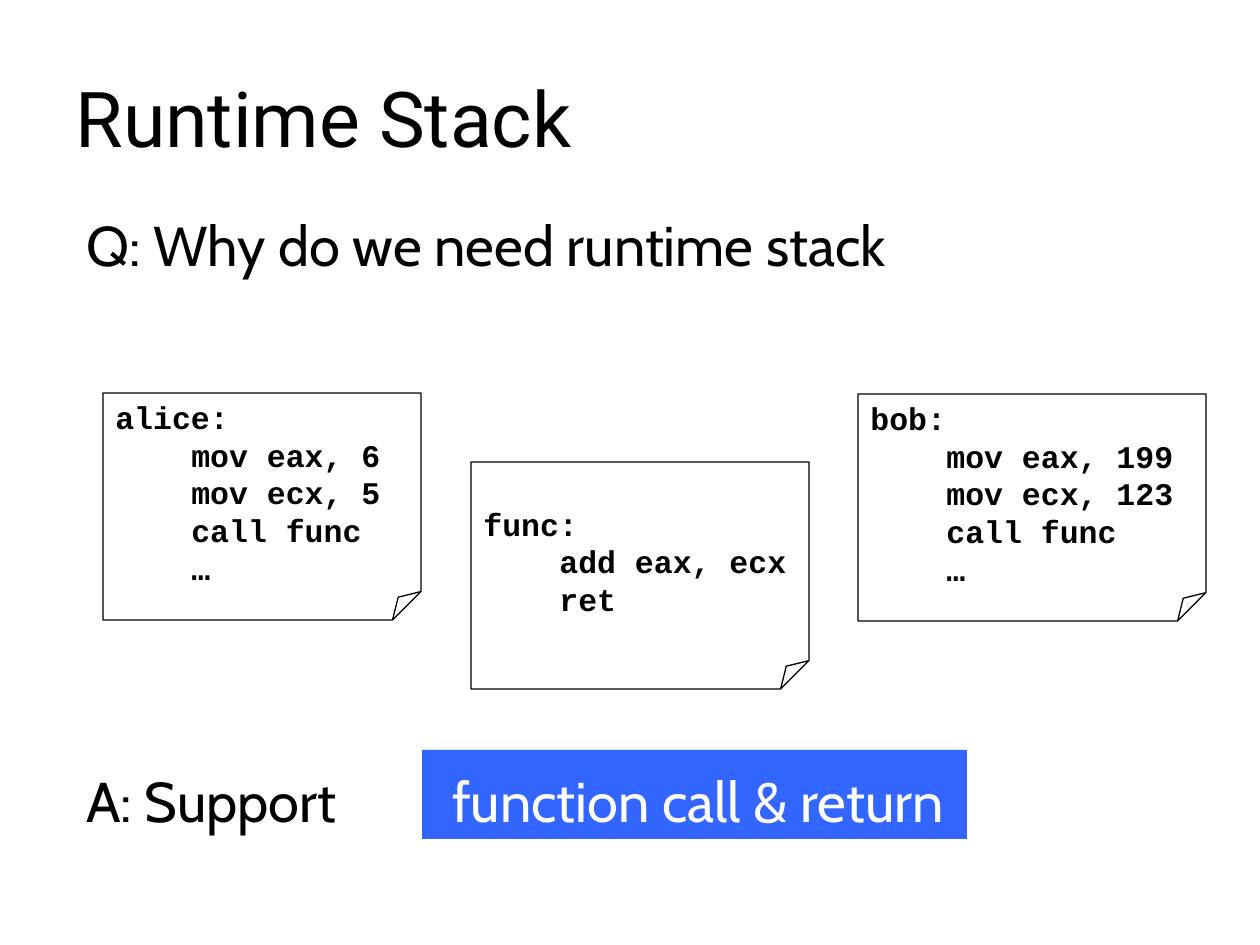
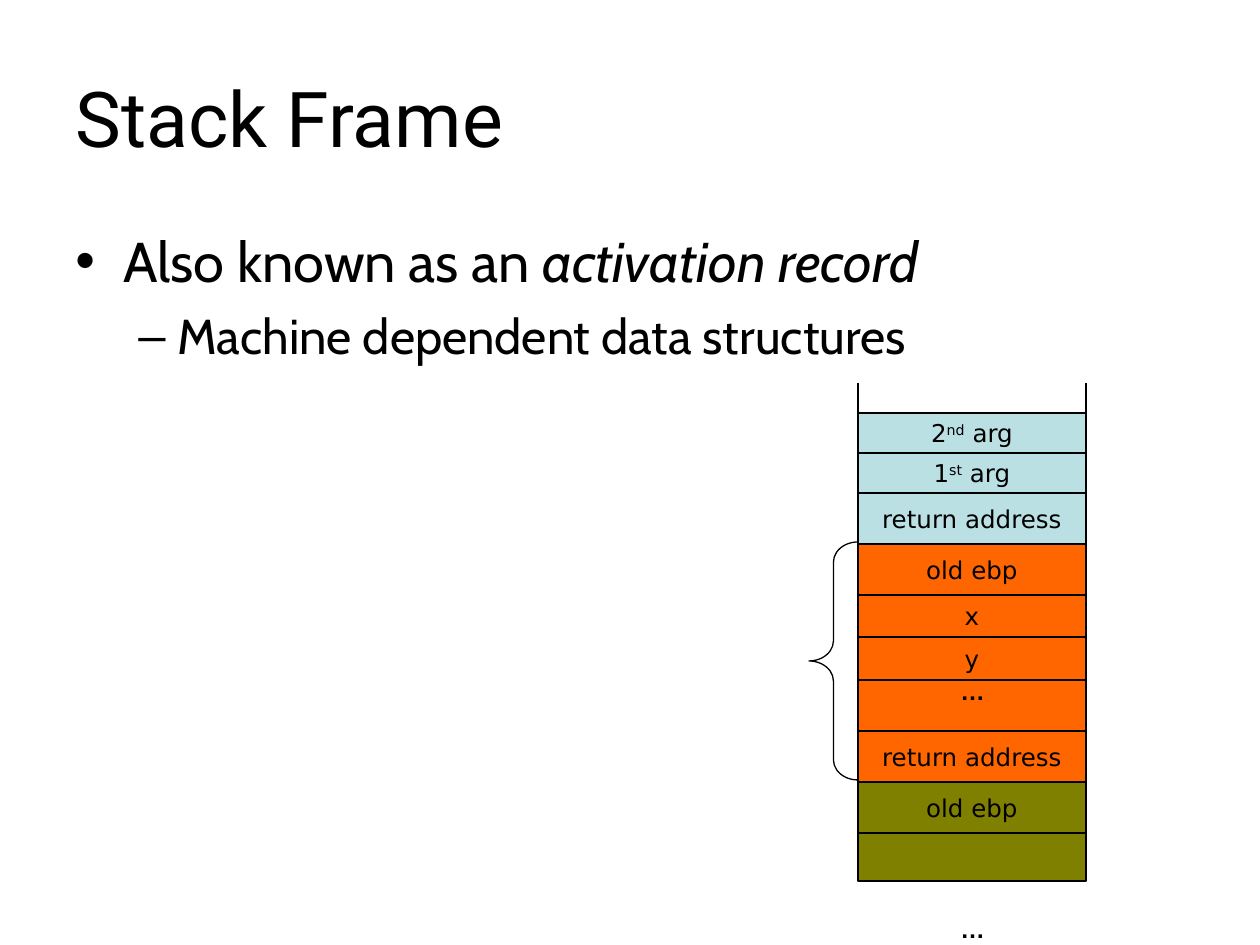
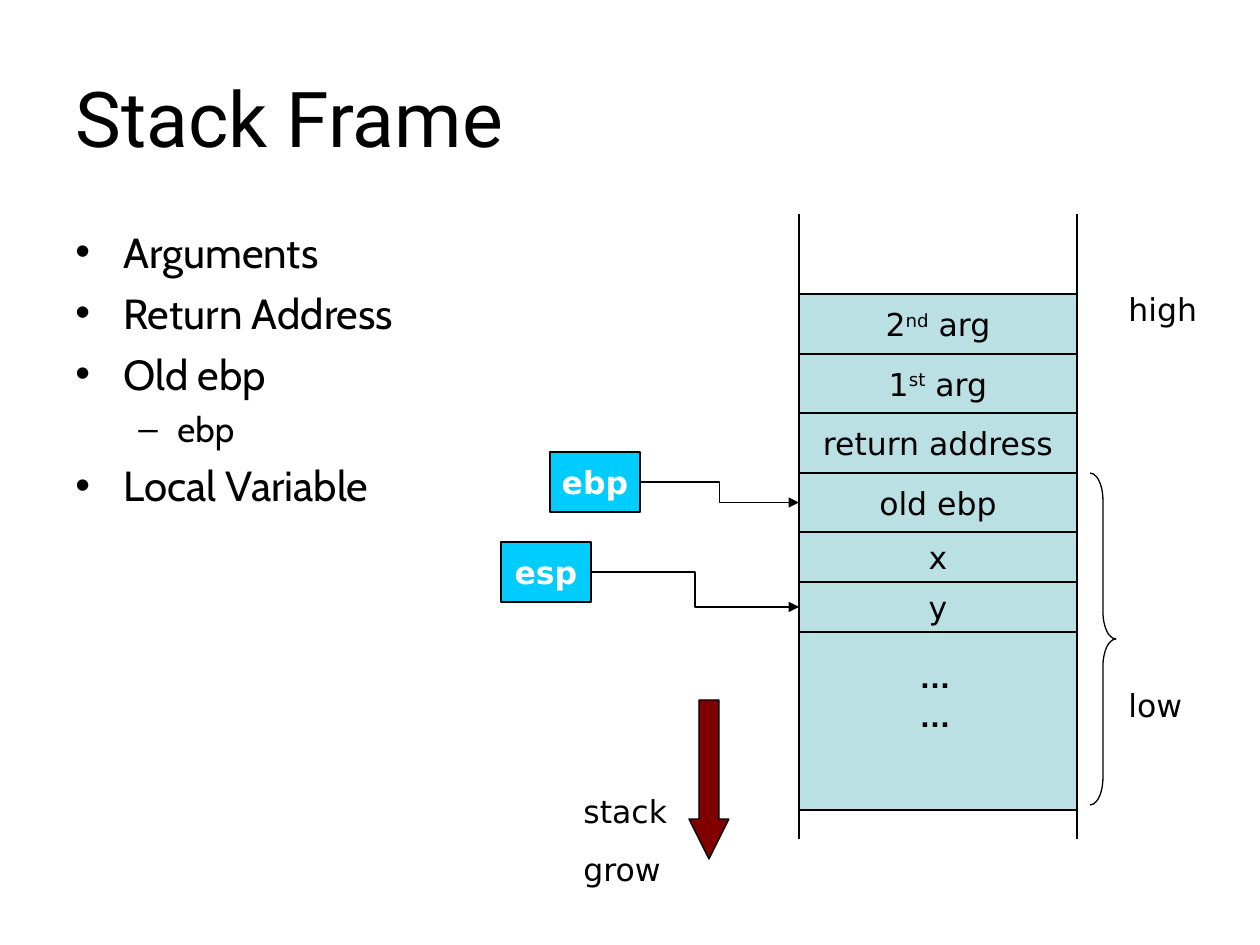
from lxml.etree import SubElement
from pptx import Presentation
from pptx.dml.color import RGBColor
from pptx.enum.shapes import MSO_CONNECTOR, MSO_SHAPE
from pptx.enum.text import MSO_ANCHOR, MSO_AUTO_SIZE, PP_ALIGN
from pptx.oxml.ns import qn
from pptx.util import Emu, Pt

PX = 914400 / 126
BLACK, WHITE = "000000", "FFFFFF"
PALE, ORANGE, OLIVE = "BBE0E3", "FF6600", "808000"
BLUE, CYAN, MAROON = "3366FF", "00CCFF", "800000"
TITLE_FONT, BODY_FONT, CODE_FONT = "Roboto", "Cabin", "Courier New"
CELL_FONT, DOTS_FONT = "DejaVu Sans", "Arial"

CODE_INDENT = 76
BULLETS = [("•", 48, 48), ("–", 102, 39)]  # character, margin, hanging
LEFT_SITE, RIGHT_SITE = 1, 3
RAISED = {"baseline": 30000}
SECOND_ARG = ["2", ("nd", RAISED), " arg"]
FIRST_ARG = ["1", ("st", RAISED), " arg"]


def px(length):
    return Emu(round(length * PX))


def rgb(color):
    return RGBColor.from_string(color)


def add_paragraph_xml(paragraph, tag, **attributes):
    return SubElement(paragraph._p.get_or_add_pPr(), qn(tag), attributes)


def add_run(paragraph, text, font, size, color=BLACK, bold=False, italic=False, baseline=0):
    run = paragraph.add_run()
    run.text = text
    run.font.name = font
    run.font.size = Pt(size)
    run.font.bold = bold
    run.font.italic = italic
    run.font.color.rgb = rgb(color)
    if baseline:
        run._r.get_or_add_rPr().set("baseline", str(baseline))


def write_text(shape, paragraphs, align=PP_ALIGN.LEFT, anchor=MSO_ANCHOR.TOP,
               wrap=True, before=0, **run_format):
    """Fill a shape; a paragraph is a string or a list of strings and (text, format) pairs."""
    frame = shape.text_frame
    frame.word_wrap = wrap
    frame.auto_size = MSO_AUTO_SIZE.NONE
    frame.vertical_anchor = anchor
    for index, runs in enumerate(paragraphs):
        paragraph = frame.add_paragraph() if index else frame.paragraphs[0]
        paragraph.alignment = align
        paragraph.space_before = Pt(before)
        for run in [runs] if isinstance(runs, str) else runs:
            text, changes = (run, {}) if isinstance(run, str) else run
            add_run(paragraph, text, **{**run_format, **changes})
    return frame.paragraphs


def add_text(slide, box, paragraphs, **text_format):
    shape = slide.shapes.add_textbox(*map(px, box))
    return write_text(shape, paragraphs, **text_format)


def add_label(slide, box, *lines, size=18, font=CELL_FONT, bold=False):
    add_text(slide, box, lines, font=font, size=size, bold=bold, before=round(size * 0.625, 1))


def set_adjustments(shape, **fractions):
    """Write the guides directly, as python-pptx knows none for a folded corner."""
    guides = shape._element.spPr.find(qn("a:prstGeom")).find(qn("a:avLst"))
    guides.clear()
    for name, fraction in fractions.items():
        SubElement(guides, qn("a:gd"), {"name": name, "fmla": f"val {round(fraction * 100000)}"})


def add_preset(slide, kind, box, fill=None, line=BLACK, **adjustments):
    shape = slide.shapes.add_shape(kind, *map(px, box))
    shape.shadow.inherit = False
    if fill:
        shape.fill.solid()
        shape.fill.fore_color.rgb = rgb(fill)
    else:
        shape.fill.background()
    if line:
        shape.line.color.rgb = rgb(line)
        shape.line.width = Pt(0.75)
    else:
        shape.line.fill.background()
    if adjustments:
        set_adjustments(shape, **adjustments)
    return shape


def add_cell(slide, box, text, fill, size, **text_format):
    cell = add_preset(slide, MSO_SHAPE.RECTANGLE, box, fill)
    if text:
        write_text(cell, [text], align=PP_ALIGN.CENTER, anchor=MSO_ANCHOR.MIDDLE,
                   wrap=False, font=CELL_FONT, size=size, **text_format)
    return cell


def add_line(slide, kind=MSO_CONNECTOR.STRAIGHT, start=(0, 0), end=(0, 0)):
    connector = slide.shapes.add_connector(kind, *map(px, (*start, *end)))
    connector.line.color.rgb = rgb(BLACK)
    connector.line.width = Pt(0.75)
    SubElement(connector._element.spPr, qn("a:effectLst"))
    return connector


def add_pointer(slide, register, cell):
    connector = add_line(slide, MSO_CONNECTOR.ELBOW)
    connector.begin_connect(register, RIGHT_SITE)
    connector.end_connect(cell, LEFT_SITE)
    outline = connector._element.spPr.find(qn("a:ln"))
    SubElement(outline, qn("a:tailEnd"), {"type": "triangle"})


def add_stack(slide, left, top, width, rows, rail_top, rail_bottom, size):
    """Draw the rails and, between them, rows of (height, text, fill); return the cells."""
    for x in (left, left + width):
        add_line(slide, start=(x, rail_top), end=(x, rail_bottom))
    cells = []
    for height, text, fill in rows:
        cells.append(add_cell(slide, (left, top, width, height), text, fill, size))
        top += height
    return cells


def add_code_note(slide, box, label, *instructions):
    note = add_preset(slide, MSO_SHAPE.FOLDED_CORNER, box, adj=0.125)
    paragraphs = write_text(note, [label, *instructions], anchor=MSO_ANCHOR.MIDDLE,
                            font=CODE_FONT, size=18, bold=True)
    for paragraph in paragraphs[1:]:
        paragraph._p.get_or_add_pPr().set("marL", str(px(CODE_INDENT)))


def add_bullets(slide, box, items, sizes, gaps):
    """List (level, runs) items, with a text size and a gap for each level."""
    paragraphs = add_text(slide, box, [runs for _, runs in items], font=BODY_FONT, size=sizes[0])
    for paragraph, (level, _) in zip(paragraphs, items):
        character, margin, hanging = BULLETS[level]
        paragraph.level = level
        paragraph.space_before = Pt(gaps[level])
        for run in paragraph.runs:
            run.font.size = Pt(sizes[level])
        properties = paragraph._p.get_or_add_pPr()
        properties.set("marL", str(px(margin)))
        properties.set("indent", str(px(-hanging)))
        color = add_paragraph_xml(paragraph, "a:buClr")
        SubElement(color, qn("a:srgbClr"), {"val": BLACK})
        add_paragraph_xml(paragraph, "a:buFont", typeface="Arial")
        add_paragraph_xml(paragraph, "a:buChar", char=character)


def add_titled_slide(presentation, title):
    slide = presentation.slides.add_slide(presentation.slide_layouts[5])
    placeholder = slide.shapes.title
    placeholder.left, placeholder.top, placeholder.width, placeholder.height = map(
        px, (63, 38, 1134, 157))
    write_text(placeholder, [title], anchor=MSO_ANCHOR.MIDDLE, font=TITLE_FONT, size=44)
    return slide


def build_runtime_stack(presentation):
    slide = add_titled_slide(presentation, "Runtime Stack")
    add_preset(slide, MSO_SHAPE.RECTANGLE, (422, 750, 545, 89), BLUE, line=None)
    body = {"font": BODY_FONT, "size": 32, "before": 8}
    answer = ["A: Support\t", ("function call & return", {"color": WHITE})]
    paragraph, = add_text(slide, (74, 760, 1134, 110), [answer], **body)
    tabs = add_paragraph_xml(paragraph, "a:tabLst")
    SubElement(tabs, qn("a:tab"), {"pos": str(px(366)), "algn": "l"})
    add_text(slide, (74, 204, 1008, 141), ["Q: Why do we need runtime stack"], **body)

    add_code_note(slide, (471, 462, 338, 227), "func:", "add eax, ecx", "ret")
    callers = [(103, 393, 318, "alice:", 6, 5), (858, 394, 348, "bob:", 199, 123)]
    for left, top, width, label, eax, ecx in callers:
        add_code_note(slide, (left, top, width, 227), label,
                      f"mov eax, {eax}", f"mov ecx, {ecx}", "call func", "…")


def build_activation_record(presentation):
    slide = add_titled_slide(presentation, "Stack Frame")
    items = [(0, ["Also known as an ", ("activation record", {"italic": True})]),
             (1, "Machine dependent data structures")]
    add_bullets(slide, (63, 220, 1134, 624), items, sizes=(32, 28), gaps=(8, 7))
    rows = [(40, SECOND_ARG, PALE), (40, FIRST_ARG, PALE), (51, "return address", PALE),
            (51, "old ebp", ORANGE), (42, "x", ORANGE), (43, "y", ORANGE),
            (51, None, ORANGE), (51, "return address", ORANGE),
            (51, "old ebp", OLIVE), (48, None, OLIVE)]
    add_stack(slide, 858, 413, 228, rows, rail_top=383, rail_bottom=880, size=14)
    add_preset(slide, MSO_SHAPE.LEFT_BRACE, (809, 542, 49, 238), adj1=0.41, adj2=0.5)
    for top in (670, 908):
        add_label(slide, (948, top, 49, 43), "…", size=14, font=DOTS_FONT, bold=True)


def build_frame_layout(presentation):
    slide = add_titled_slide(presentation, "Stack Frame")
    items = [(0, "Arguments"), (0, "Return Address"), (0, "Old ebp"), (1, "ebp"),
             (0, "Local Variable")]
    add_bullets(slide, (63, 220, 449, 624), items, sizes=(24, 20), gaps=(6, 5))
    rows = [(height, text, PALE) for height, text in [
        (60, SECOND_ARG), (59, FIRST_ARG), (60, "return address"), (59, "old ebp"),
        (50, "x"), (50, "y"), (178, None)]]
    cells = add_stack(slide, 799, 294, 278, rows, rail_top=214, rail_bottom=839, size=18)
    for top in (651, 690):
        add_label(slide, (907, top, 59, 50), "…", font=DOTS_FONT, bold=True)
    add_preset(slide, MSO_SHAPE.RIGHT_BRACE, (1090, 473, 26, 332), adj1=1.05, adj2=0.5)

    old_ebp, y_cell = cells[3], cells[5]
    for name, left, top, cell in [("esp", 501, 542, y_cell), ("ebp", 550, 452, old_ebp)]:
        register = add_cell(slide, (left, top, 90, 60), name, CYAN, 18, color=WHITE, bold=True)
        add_pointer(slide, register, cell)

    add_label(slide, (1116, 284, 118, 50), "high")
    add_label(slide, (1116, 680, 118, 50), "low")
    add_preset(slide, MSO_SHAPE.DOWN_ARROW, (689, 700, 40, 159), MAROON, adj1=0.5, adj2=1)
    add_label(slide, (571, 786, 118, 108), "stack", "grow")


def main():
    presentation = Presentation()
    presentation.slide_width, presentation.slide_height = px(1260), px(945)
    build_runtime_stack(presentation)
    build_activation_record(presentation)
    build_frame_layout(presentation)
    presentation.save("out.pptx")


if __name__ == "__main__":
    main()
